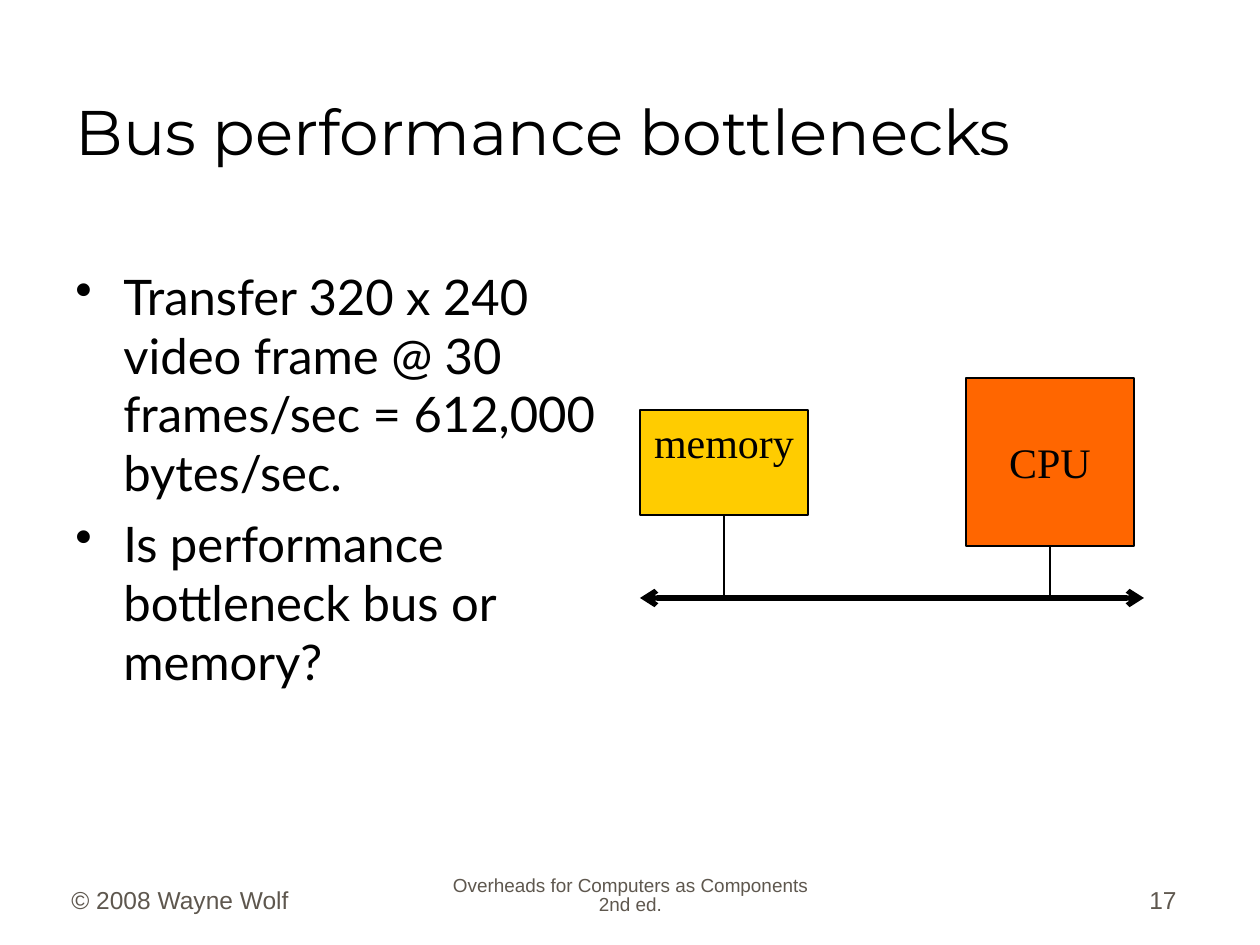
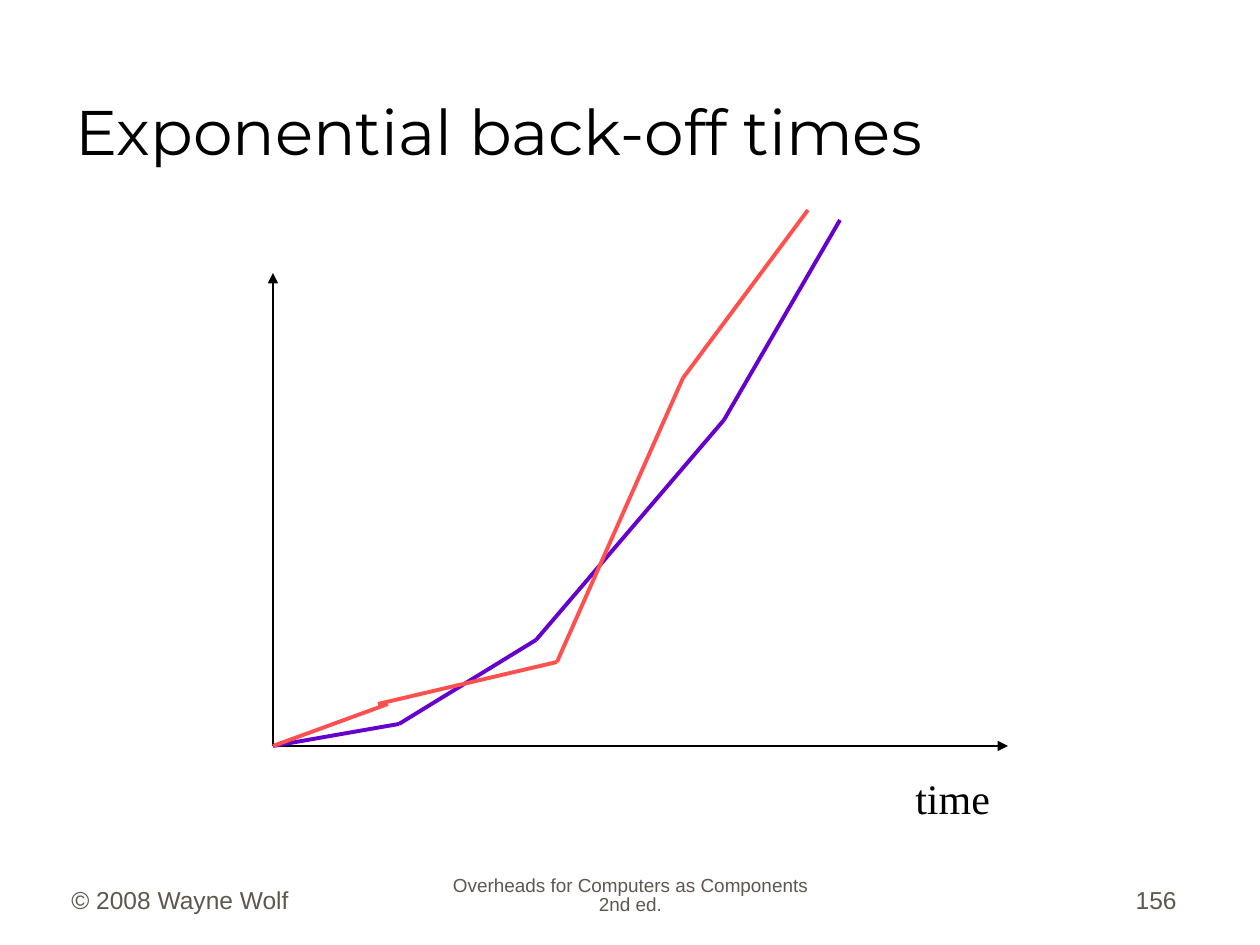
"""Build two lecture slides: bus performance bottlenecks and exponential back-off times."""
import itertools

import lxml.etree
import pptx
import pptx.dml.color
import pptx.enum.shapes
import pptx.enum.text
import pptx.oxml.ns
import pptx.util

RGB = pptx.dml.color.RGBColor
ALIGN = pptx.enum.text.PP_ALIGN
ANCHOR = pptx.enum.text.MSO_ANCHOR
BLACK = RGB(0x00, 0x00, 0x00)
FOOTER_GREY = RGB(0x5E, 0x57, 0x4E)
MEMORY_YELLOW = RGB(0xFF, 0xCC, 0x00)
CPU_ORANGE = RGB(0xFF, 0x66, 0x00)
VIOLET = RGB(0x66, 0x00, 0xCC)
CORAL = RGB(0xFF, 0x50, 0x50)

PX_PER_INCH = 126
SLIDE_SIZE = (1260, 945)
TITLE_BOX = (63, 32, 1124, 136)
BULLETS_BOX = (63, 260, 553, 575)
BULLET_INDENT = 48
FOOTER_TOP, FOOTER_HEIGHT = 858, 63

COPYRIGHT = "© 2008 Wayne Wolf"
BOOK = "Overheads for Computers as Components 2nd ed."

BOTTLENECKS = {
    "title": "Bus performance bottlenecks",
    "number": "17",
    "bullets": [
        "Transfer 320 x 240 video frame @ 30 frames/sec = 612,000 bytes/sec.",
        "Is performance bottleneck bus or memory?",
    ],
    "units": [
        ("memory", (640, 410, 168, 105), MEMORY_YELLOW, ANCHOR.TOP),
        ("CPU", (966, 378, 168, 168), CPU_ORANGE, ANCHOR.MIDDLE),
    ],
    "bus": ((640, 598), (1144, 598)),
}

ORIGIN = (273, 746)
BACKOFF = {
    "title": "Exponential back-off times",
    "number": "156",
    "axis_ends": [(1008, 746), (273, 273)],
    "axis_label": ("time", (903, 766, 100, 63)),
    "curves": [
        (VIOLET, [[ORIGIN, (399, 724), (536, 640), (724, 420), (840, 220)]]),
        (CORAL, [[ORIGIN, (388, 704)],
                 [(378, 704), (557, 662), (683, 378), (808, 210)]]),
    ],
}


def px(length):
    return pptx.util.Emu(round(length * 914400 / PX_PER_INCH))


def place(box):
    return [px(length) for length in box]


def style(paragraph, font_name, size, colour, align=ALIGN.LEFT):
    paragraph.alignment = align
    paragraph.font.name = font_name
    paragraph.font.size = pptx.util.Pt(size)
    paragraph.font.color.rgb = colour


def add_text(slide, text, box, font_name, size, colour, align=ALIGN.LEFT,
             anchor=ANCHOR.TOP, wrap=True):
    frame = slide.shapes.add_textbox(*place(box)).text_frame
    frame.word_wrap = wrap
    frame.vertical_anchor = anchor
    frame.text = text
    for paragraph in frame.paragraphs:
        style(paragraph, font_name, size, colour, align)
    return frame


def add_line(slide, start, end, colour, width, head=None, tail=None):
    line = slide.shapes.add_connector(
        pptx.enum.shapes.MSO_CONNECTOR.STRAIGHT, *place(start + end))
    line.line.color.rgb = colour
    line.line.width = pptx.util.Pt(width)
    outline = line.line._get_or_add_ln()
    for tag, arrow in (("a:headEnd", head), ("a:tailEnd", tail)):
        if arrow:
            lxml.etree.SubElement(outline, pptx.oxml.ns.qn(tag), type=arrow)
    lxml.etree.SubElement(line._element.spPr, pptx.oxml.ns.qn("a:effectLst"))
    return line


def add_slide(deck, content):
    slide = deck.slides.add_slide(deck.slide_layouts[5])
    title = slide.shapes.title
    title.left, title.top, title.width, title.height = place(TITLE_BOX)
    frame = title.text_frame
    frame.text = content["title"]
    frame.auto_size = pptx.enum.text.MSO_AUTO_SIZE.NONE
    frame.vertical_anchor = ANCHOR.BOTTOM
    frame.margin_bottom = 0
    style(frame.paragraphs[0], "Montserrat", 36, BLACK)

    footers = [
        (COPYRIGHT, 59, 262, 14, ALIGN.LEFT, 1),
        (BOOK, 431, 399, 10.8, ALIGN.CENTER, 0.8),
        (content["number"], 927, 262, 14, ALIGN.RIGHT, 1),
    ]
    for text, left, width, size, align, spacing in footers:
        footer = add_text(slide, text, (left, FOOTER_TOP, width, FOOTER_HEIGHT),
                          "Arial", size, FOOTER_GREY, align, ANCHOR.BOTTOM)
        footer.paragraphs[0].line_spacing = spacing
    return slide


def add_bullets(slide, bullets):
    frame = add_text(slide, "\n".join(bullets), BULLETS_BOX, "Lato", 28, BLACK)
    for paragraph in frame.paragraphs:
        paragraph.space_before = pptx.util.Pt(7)
        properties = paragraph._p.get_or_add_pPr()
        properties.set("marL", str(px(BULLET_INDENT)))
        properties.set("indent", str(-px(BULLET_INDENT)))
        bullet = lxml.etree.Element(pptx.oxml.ns.qn("a:buChar"), char="•")
        properties.find(pptx.oxml.ns.qn("a:defRPr")).addprevious(bullet)


def add_unit(slide, label, box, colour, anchor):
    unit = slide.shapes.add_shape(
        pptx.enum.shapes.MSO_SHAPE.RECTANGLE, *place(box))
    unit.shadow.inherit = False
    unit.fill.solid()
    unit.fill.fore_color.rgb = colour
    unit.line.color.rgb = BLACK
    unit.line.width = pptx.util.Pt(0.75)
    unit.text_frame.text = label
    unit.text_frame.vertical_anchor = anchor
    style(unit.text_frame.paragraphs[0], "Times New Roman", 24, BLACK, ALIGN.CENTER)
    return unit


def build_bottlenecks(deck):
    slide = add_slide(deck, BOTTLENECKS)
    add_bullets(slide, BOTTLENECKS["bullets"])
    bus_start, bus_end = BOTTLENECKS["bus"]
    for label, box, colour, anchor in BOTTLENECKS["units"]:
        unit = add_unit(slide, label, box, colour, anchor)
        left, top, width, height = box
        middle = left + width // 2
        drop = add_line(slide, (middle, top + height), (middle, bus_start[1]),
                        BLACK, 0.75)
        drop.begin_connect(unit, 2)
    add_line(slide, bus_start, bus_end, BLACK, 3, head="arrow", tail="arrow")


def build_backoff(deck):
    slide = add_slide(deck, BACKOFF)
    for end in BACKOFF["axis_ends"]:
        add_line(slide, ORIGIN, end, BLACK, 1.5, tail="triangle")
    label, box = BACKOFF["axis_label"]
    add_text(slide, label, box, "Times New Roman", 24, BLACK, wrap=False)
    for colour, strokes in BACKOFF["curves"]:
        for stroke in strokes:
            for start, end in itertools.pairwise(stroke):
                add_line(slide, start, end, colour, 2.25)


def main():
    deck = pptx.Presentation()
    deck.slide_width, deck.slide_height = place(SLIDE_SIZE)
    build_bottlenecks(deck)
    build_backoff(deck)
    deck.save("out.pptx")


if __name__ == "__main__":
    main()
